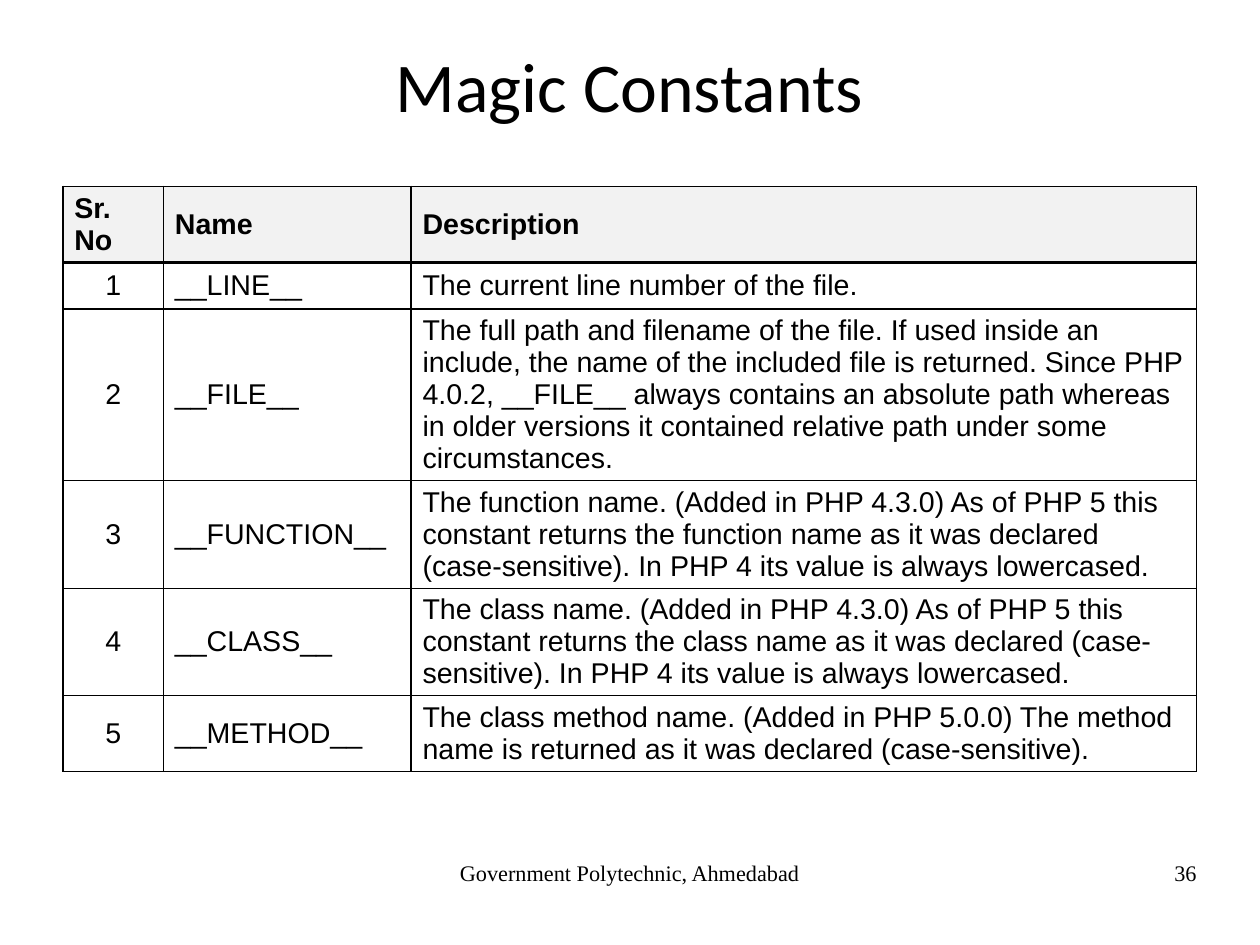
from lxml import etree
from pptx import Presentation
from pptx import util as u
from pptx.dml.color import RGBColor
from pptx.enum import text
from pptx.oxml import ns

BLACK = RGBColor(0, 0, 0)
WHITE = RGBColor(255, 255, 255)
HEADER_GREY = RGBColor(0xF2, 0xF2, 0xF2)
TITLE_SPACING = 0.96
TABLE_SPACING = u.Pt(20.16)
COLUMN_WIDTHS = (63.4, 156, 494.6)
ROW_HEIGHTS = (47.9, 29.5, 108.2, 67.7, 67.7, 47.6)
HEADINGS = ("Sr. No", "Name", "Description")
CONSTANTS = (
    ("__LINE__", "The current line number of the file."),
    ("__FILE__", "The full path and filename of the file. If used inside an include, "
     "the name of the included file is returned. Since PHP 4.0.2, __FILE__ always "
     "contains an absolute path whereas in older versions it contained relative path "
     "under some circumstances."),
    ("__FUNCTION__", "The function name. (Added in PHP 4.3.0) As of PHP 5 this constant "
     "returns the function name as it was declared (case-sensitive). In PHP 4 its value "
     "is always lowercased."),
    ("__CLASS__", "The class name. (Added in PHP 4.3.0) As of PHP 5 this constant returns "
     "the class name as it was declared (case-sensitive). In PHP 4 its value is always "
     "lowercased."),
    ("__METHOD__", "The class method name. (Added in PHP 5.0.0) The method name is "
     "returned as it was declared (case-sensitive)."),
)


def style_text(frame, font_name, size, align, bold=False, spacing=None):
    for para in frame.paragraphs:
        para.alignment = align
        para.line_spacing = spacing
        for span in para.runs:
            span.font.name = font_name
            span.font.size = u.Pt(size)
            span.font.bold = bold
            span.font.color.rgb = BLACK


def add_label(page, box, wording, font_name, size, align, anchor, spacing=None):
    label = page.shapes.add_textbox(*map(u.Pt, box))
    frame = label.text_frame
    frame.word_wrap = True
    frame.vertical_anchor = anchor
    frame.margin_left = frame.margin_right = frame.margin_top = frame.margin_bottom = 0
    frame.text = wording
    style_text(frame, font_name, size, align, spacing=spacing)


def add_border(cell, side, width):
    properties = cell._tc.get_or_add_tcPr()
    line = etree.SubElement(properties, ns.qn(f"a:ln{side}"), w=str(u.Pt(width)))
    fill = etree.SubElement(line, ns.qn("a:solidFill"))
    etree.SubElement(fill, ns.qn("a:srgbClr"), val=str(BLACK))


def add_title(page, box):
    add_label(page, box, "Magic Constants", "Calibri", 44, text.PP_ALIGN.CENTER,
              text.MSO_ANCHOR.MIDDLE, TITLE_SPACING)


def add_constants_table(page, box):
    rows = [HEADINGS] + [(str(number), *entry) for number, entry in enumerate(CONSTANTS, 1)]
    table = page.shapes.add_table(len(rows), len(HEADINGS), *map(u.Pt, box)).table
    for column, width in zip(table.columns, COLUMN_WIDTHS):
        column.width = u.Pt(width)
    for row, height in zip(table.rows, ROW_HEIGHTS):
        row.height = u.Pt(height)
    for row_index, row in enumerate(rows):
        header = row_index == 0
        for column_index, wording in enumerate(row):
            cell = table.cell(row_index, column_index)
            cell.text = wording
            cell.vertical_anchor = text.MSO_ANCHOR.MIDDLE
            centred = column_index == 0 and not header
            align = text.PP_ALIGN.CENTER if centred else text.PP_ALIGN.LEFT
            style_text(cell.text_frame, "Arial", 18, align, header, TABLE_SPACING)
            top = 2 if row_index == 1 else 1
            bottom = 2 if header else 1
            for side, width in (("L", 1), ("R", 1), ("T", top), ("B", bottom)):
                add_border(cell, side, width)
            cell.fill.solid()
            cell.fill.fore_color.rgb = HEADER_GREY if header else WHITE


def add_footer(page, box):
    left, top, width, height = box
    centre_width, number_width = 251.3, 185
    centre_left = left + (width - centre_width) / 2
    number_left = left + width - number_width
    for wording, x, span_width, align in (
        ("Government Polytechnic, Ahmedabad", centre_left, centre_width, text.PP_ALIGN.CENTER),
        ("36", number_left, number_width, text.PP_ALIGN.RIGHT),
    ):
        add_label(page, (x, top, span_width, height), wording, "Times New Roman", 14,
                  align, text.MSO_ANCHOR.TOP)


def main():
    deck = Presentation()
    deck.slide_width, deck.slide_height = u.Pt(793.7), u.Pt(595.28)
    page = deck.slides.add_slide(deck.slide_layouts[6])
    left, width = 39.6, 714.2
    add_title(page, (left, 23.8, width, 64))
    add_footer(page, (left, 541.2, width, 41))
    add_constants_table(page, (left, 117.3, width, sum(ROW_HEIGHTS)))
    deck.save("out.pptx")


if __name__ == "__main__":
    main()
